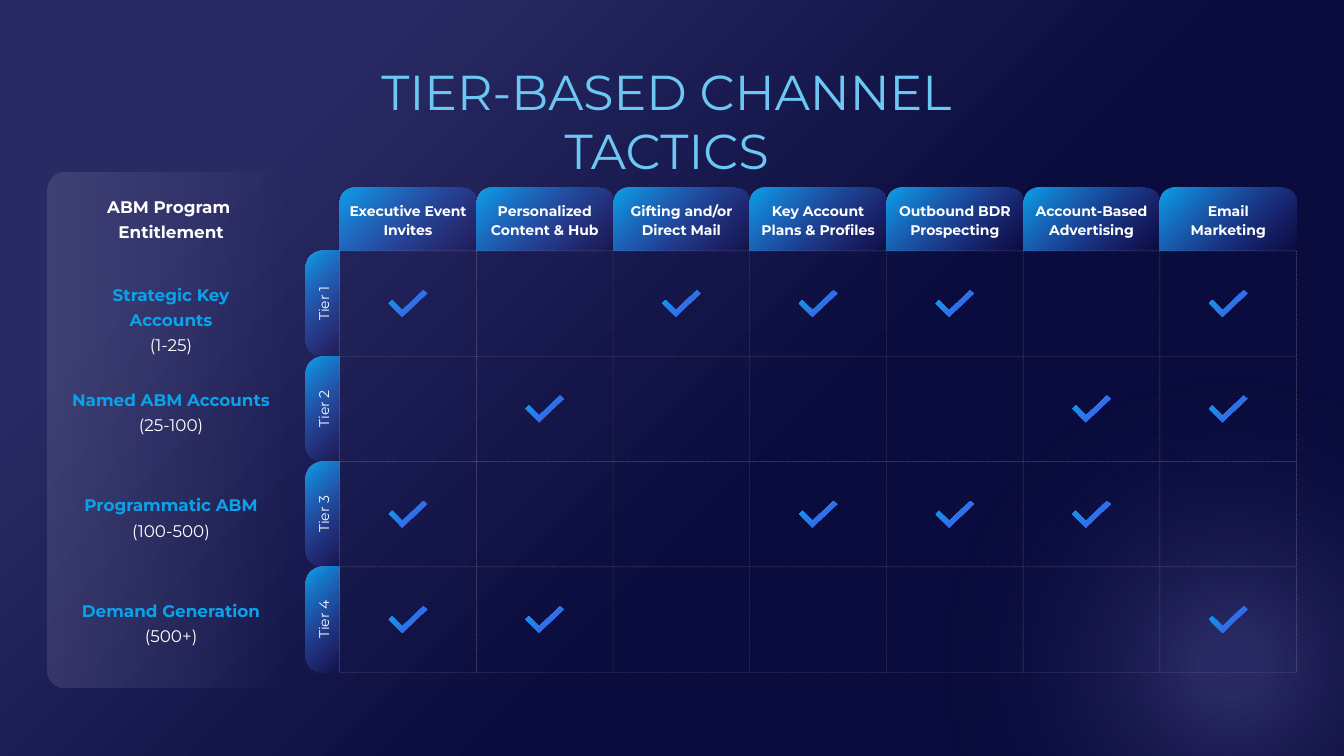
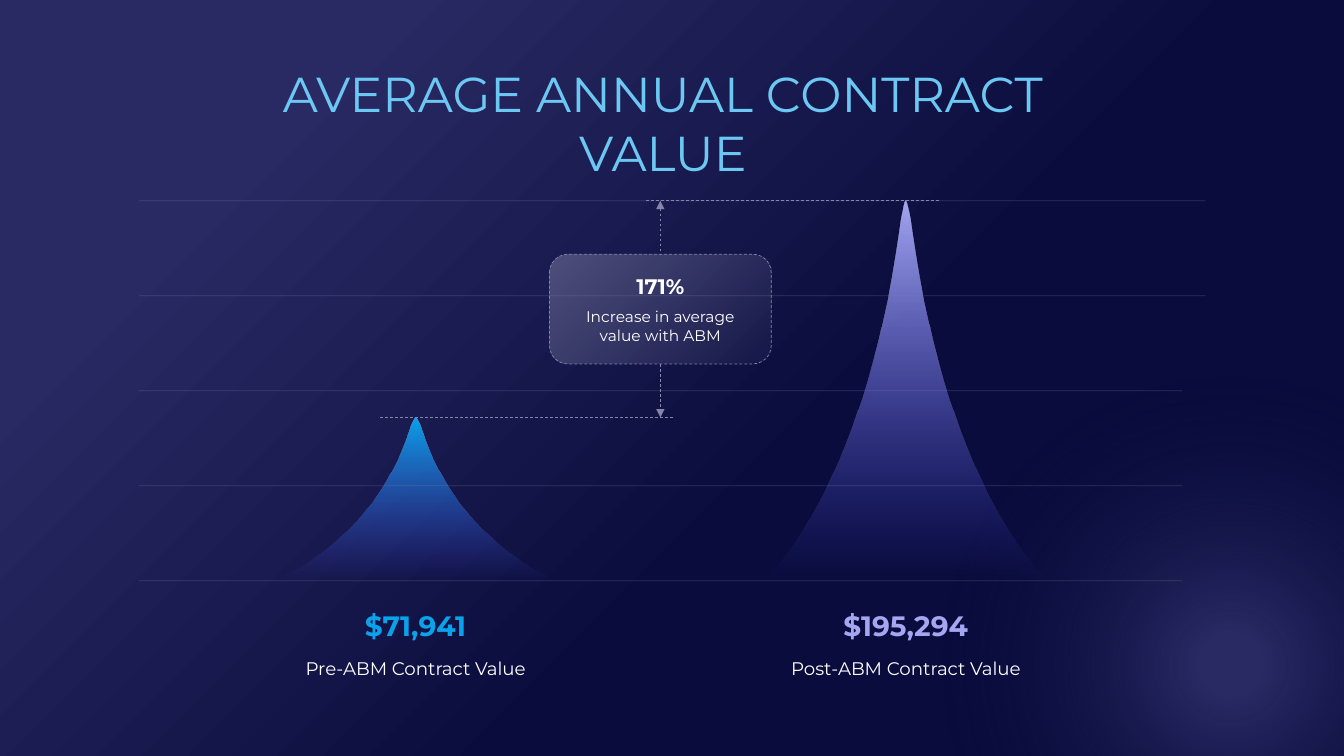
from lxml import etree
from pptx import Presentation
from pptx.dml.color import RGBColor
from pptx.enum import dml, shapes, text
from pptx.oxml import ns
from pptx.util import Pt

FONT = "Montserrat"
WHITE = RGBColor(0xFF, 0xFF, 0xFF)
NAVY = RGBColor(0x0A, 0x0C, 0x3D)
INDIGO = RGBColor(0x29, 0x2A, 0x63)
SKY = RGBColor(0x6C, 0xC8, 0xF3)
BLUE = RGBColor(0x0A, 0xA3, 0xEB)
VIOLET = RGBColor(0x4A, 0x4C, 0xE5)
LILAC = RGBColor(0xA4, 0xA6, 0xF2)
SLATE = RGBColor(0x84, 0x85, 0xA8)
SILVER = RGBColor(0xBD, 0xBD, 0xBD)
CORNER = (0, 0, 100, 100)
CENTRE = (50, 50, 50, 50)


def paint_gradient(fill, stops, focus=None, angle=0):
    fill.gradient()
    grad = fill._fill._gradFill
    for child in list(grad):
        grad.remove(child)
    stop_list = etree.SubElement(grad, ns.qn("a:gsLst"))
    for position, colour, alpha in stops:
        stop = etree.SubElement(stop_list, ns.qn("a:gs"), pos=str(position * 1000))
        tint = etree.SubElement(stop, ns.qn("a:srgbClr"), val=str(colour))
        if alpha < 100:
            etree.SubElement(tint, ns.qn("a:alpha"), val=str(alpha * 1000))
    if focus:
        path = etree.SubElement(grad, ns.qn("a:path"), path="circle")
        sides = {side: str(share * 1000) for side, share in zip("ltrb", focus)}
        etree.SubElement(path, ns.qn("a:fillToRect"), **sides)
    else:
        etree.SubElement(grad, ns.qn("a:lin"), ang=str(angle * 60000), scaled="0")


def draw_rule(slide, start, end, colour, width, alpha=100, dashed=True):
    rule = slide.shapes.add_connector(
        shapes.MSO_CONNECTOR.STRAIGHT, *(Pt(v) for v in start + end))
    rule.line.color.rgb = colour
    rule.line.width = Pt(width)
    if dashed:
        rule.line.dash_style = dml.MSO_LINE.DASH
    properties = rule._element.spPr
    if alpha < 100:
        tint = properties.find(".//" + ns.qn("a:srgbClr"))
        etree.SubElement(tint, ns.qn("a:alpha"), val=str(alpha * 1000))
    etree.SubElement(properties, ns.qn("a:effectLst"))
    return rule


prs = Presentation()
prs.slide_width, prs.slide_height = Pt(960), Pt(540)
master = prs.slide_master
paint_gradient(master.background.fill, [(19, INDIGO, 100), (60, NAVY, 100)], CORNER)
tactics, contract = (prs.slides.add_slide(prs.slide_layouts[6]) for _ in range(2))

glow = tactics.shapes.add_shape(
    shapes.MSO_SHAPE.OVAL, Pt(673.2), Pt(270), Pt(410.4), Pt(409))
glow.shadow.inherit = False
glow.line.fill.background()
paint_gradient(glow.fill, [(8, INDIGO, 100), (71, NAVY, 0)], CENTRE)
glow._element.nvSpPr.cNvPr.id = 20
master.shapes._spTree.append(glow._element)

panel = tactics.shapes.add_shape(
    shapes.MSO_SHAPE.ROUNDED_RECTANGLE, Pt(33.8), Pt(123), Pt(177), Pt(368))
panel.adjustments[0] = 0.067
panel.shadow.inherit = False
panel.line.fill.background()
paint_gradient(panel.fill, [(0, SLATE, 25), (100, SLATE, 0)])

channels = [
    "Executive Event Invites", "Personalized Content & Hub",
    "Gifting and/or Direct Mail", "Key Account Plans & Profiles",
    "Outbound BDR Prospecting", "Account-Based Advertising", "Email Marketing",
]
tiers = [
    ("Strategic Key Accounts", "(1-25)", (0, 2, 3, 4, 6)),
    ("Named ABM Accounts", "(25-100)", (1, 5, 6)),
    ("Programmatic ABM", "(100-500)", (0, 3, 4, 5)),
    ("Demand Generation", "(500+)", (0, 1, 6)),
]
GRID_X, GRID_Y, COL_W, ROW_H = 242.6, 179.2, 97.65, 75.25
grid_right = GRID_X + COL_W * len(channels)
grid_bottom = GRID_Y + ROW_H * len(tiers)
for col in range(len(channels) + 1):
    x = GRID_X + col * COL_W
    draw_rule(tactics, (x, GRID_Y), (x, grid_bottom), SILVER, 0.25, 50)
for row in range(len(tiers) + 1):
    y = GRID_Y + row * ROW_H
    draw_rule(tactics, (GRID_X, y), (grid_right, y), SILVER, 0.25, 50)

TIER_W, HEADER_H = 24.2, 45.2
tabs = []
for row in range(len(tiers)):
    left = GRID_X - (TIER_W + ROW_H) / 2
    top = GRID_Y + row * ROW_H + (ROW_H - TIER_W) / 2
    tabs.append((f"Tier {row + 1}", (left, top, ROW_H, TIER_W), 270, 0.5,
                 (7.2, 2.2), False, None))
for col, channel in enumerate(channels):
    tabs.append((channel, (GRID_X + col * COL_W, GRID_Y - HEADER_H, COL_W, HEADER_H),
                 0, 0.244, (3.6, 3.6), True, Pt(14)))
for label, box, turn, curve, (side, bottom), bold, spacing in tabs:
    tab = tactics.shapes.add_shape(
        shapes.MSO_SHAPE.ROUND_2_SAME_RECTANGLE, *(Pt(v) for v in box))
    tab.rotation = turn
    tab.adjustments[0] = curve
    tab.shadow.inherit = False
    tab.line.fill.background()
    paint_gradient(tab.fill, [(0, BLUE, 100), (100, VIOLET, 0)], CORNER)
    frame = tab.text_frame
    frame.word_wrap = True
    frame.vertical_anchor = text.MSO_ANCHOR.MIDDLE
    frame.margin_left = frame.margin_right = Pt(side)
    frame.margin_top, frame.margin_bottom = 0, Pt(bottom)
    paragraph = frame.paragraphs[0]
    paragraph.text = label
    paragraph.alignment = text.PP_ALIGN.CENTER
    paragraph.line_spacing = spacing
    paragraph.font.name, paragraph.font.size = FONT, Pt(10)
    paragraph.font.bold = bold
    paragraph.font.color.rgb = WHITE

CHECK = [(59.8, 28.2), (44.8, 42.4), (37.5, 35.2), (35.2, 37.5),
         (44.8, 47.2), (47.5, 44.5), (62.5, 30.4)]
for row, (_, _, ticked) in enumerate(tiers):
    for col in ticked:
        outline = [(Pt(GRID_X + col * COL_W + x), Pt(GRID_Y + row * ROW_H + y))
                   for x, y in CHECK]
        builder = tactics.shapes.build_freeform(*outline[0])
        builder.add_line_segments(outline[1:])
        check = builder.convert_to_shape()
        check.shadow.inherit = False
        check.line.fill.background()
        paint_gradient(check.fill, [(0, BLUE, 100), (100, VIOLET, 100)], CORNER)

PEAK_TOP, SCALE_STEP = 143.4, 67.85
BASE = PEAK_TOP + 4 * SCALE_STEP
PRE_X, POST_X, PRE_TOP, HALF_W = 296.8, 647, 298.2, 101.3
FLANK = [(0, 0), (0.007, 0), (0.028, 0.035), (0.043, 0.08),
         (0.305, 0.777), (1, 1), (1, 1)]
BOTTOM = [(1, 1), (-1, 1), (-1, 1)]
profile = FLANK + BOTTOM + [(-x, y) for x, y in reversed(FLANK[:-1])]
for centre, top, colour in [(PRE_X, PRE_TOP, BLUE), (POST_X, PEAK_TOP, LILAC)]:
    outline = [(Pt(centre + x * HALF_W), Pt(top + y * (BASE - top))) for x, y in profile]
    builder = contract.shapes.build_freeform(*outline[0])
    builder.add_line_segments(outline[3::3])
    peak = builder.convert_to_shape()
    for index, line in enumerate(list(peak._element.iter(ns.qn("a:lnTo")))[:5]):
        curve = etree.Element(ns.qn("a:cubicBezTo"))
        for x, y in outline[index * 3 + 1:index * 3 + 4]:
            etree.SubElement(curve, ns.qn("a:pt"),
                             x=str(x - peak.left), y=str(y - peak.top))
        line.getparent().replace(line, curve)
    peak.shadow.inherit = False
    peak.line.fill.background()
    paint_gradient(peak.fill, [(0, colour, 100), (100, VIOLET, 0)], angle=90)

for level in range(5):
    y = PEAK_TOP + level * SCALE_STEP
    right = 861 if level < 2 else 844.6
    draw_rule(contract, (99.4, y), (right, y), SLATE, 0.5, 30, dashed=False)
draw_rule(contract, (271.4, PRE_TOP), (481.7, PRE_TOP), SLATE, 0.5)
draw_rule(contract, (461.5, PEAK_TOP), (671.8, PEAK_TOP), SLATE, 0.5)

CALLOUT_X, CALLOUT_TOP, CALLOUT_BOTTOM = 471.7, 181.6, 260
callout = contract.shapes.add_shape(
    shapes.MSO_SHAPE.ROUNDED_RECTANGLE, Pt(CALLOUT_X - 79.2), Pt(CALLOUT_TOP),
    Pt(158.4), Pt(CALLOUT_BOTTOM - CALLOUT_TOP))
callout.shadow.inherit = False
paint_gradient(callout.fill, [(0, SLATE, 50), (100, SLATE, 5)], CORNER)
callout.line.color.rgb = SLATE
callout.line.width = Pt(0.5)
callout.line.dash_style = dml.MSO_LINE.DASH
frame = callout.text_frame
frame.word_wrap = True
frame.vertical_anchor = text.MSO_ANCHOR.MIDDLE
frame.text = "171%\nIncrease in average value with ABM"
for paragraph, size, bold in zip(frame.paragraphs, (15, 11), (True, False)):
    paragraph.alignment = text.PP_ALIGN.CENTER
    paragraph.font.name, paragraph.font.size = FONT, Pt(size)
    paragraph.font.bold = bold
    paragraph.font.color.rgb = WHITE
frame.paragraphs[0].space_after = Pt(6)

rise = draw_rule(contract, (CALLOUT_X, PEAK_TOP), (CALLOUT_X, CALLOUT_TOP), SLATE, 0.5)
rise.end_connect(callout, 0)
drop = draw_rule(contract, (CALLOUT_X, CALLOUT_BOTTOM), (CALLOUT_X, PRE_TOP), SLATE, 0.5)
drop.begin_connect(callout, 2)
for arrow, end in [(rise, "a:headEnd"), (drop, "a:tailEnd")]:
    etree.SubElement(arrow._element.spPr.find(ns.qn("a:ln")), ns.qn(end), type="triangle")

TITLE_STYLE = (35, False, ([(0, SKY, 100), (64, BLUE, 100)], CORNER))
NAME_STYLE = (12, True, BLUE)
RANGE_STYLE = (12, False, WHITE)
HEAD_STYLE = (12, True, WHITE)
LABEL_STYLE = (13, False, WHITE)
PANEL_X = 122.2
captions = [
    (tactics, 476.2, 40.3, 576, 49.7, None, [("TIER-BASED CHANNEL TACTICS", TITLE_STYLE)]),
    (contract, 473.5, 41.8, 685, 49.7, None,
     [("AVERAGE ANNUAL CONTRACT VALUE", TITLE_STYLE)]),
    (tactics, PANEL_X, 133.2, 107, 41.8, Pt(18),
     [("ABM Program ", HEAD_STYLE), ("Entitlement", HEAD_STYLE)]),
]
for row, (name, accounts, _) in enumerate(tiers):
    captions.append((tactics, PANEL_X, 196 + row * ROW_H, 160, 41.8, Pt(18),
                     [(name, NAME_STYLE), (accounts, RANGE_STYLE)]))
for centre, value, label, colour in [
        (PRE_X, "$71,941", "Pre-ABM Contract Value", BLUE),
        (POST_X, "$195,294", "Post-ABM Contract Value", LILAC)]:
    value_style = (20, True, ([(0, colour, 100), (100, VIOLET, 100)], None, 90))
    captions.append((contract, centre, 431.3, 106, 34.6, None, [(value, value_style)]))
    captions.append((contract, centre, 465.8, 198, 25, None, [(label, LABEL_STYLE)]))

for slide, centre, top, width, height, spacing, lines in captions:
    caption = slide.shapes.add_textbox(
        Pt(centre - width / 2), Pt(top), Pt(width), Pt(height))
    frame = caption.text_frame
    frame.word_wrap = False
    frame.auto_size = text.MSO_AUTO_SIZE.SHAPE_TO_FIT_TEXT
    frame.text = "\n".join(words for words, _ in lines)
    for paragraph, (_, (size, bold, colour)) in zip(frame.paragraphs, lines):
        paragraph.alignment = text.PP_ALIGN.CENTER
        paragraph.line_spacing = spacing
        paragraph.font.name, paragraph.font.size = FONT, Pt(size)
        paragraph.font.bold = bold
        if isinstance(colour, RGBColor):
            paragraph.font.color.rgb = colour
        else:
            paint_gradient(paragraph.font.fill, *colour)

prs.save("out.pptx")
